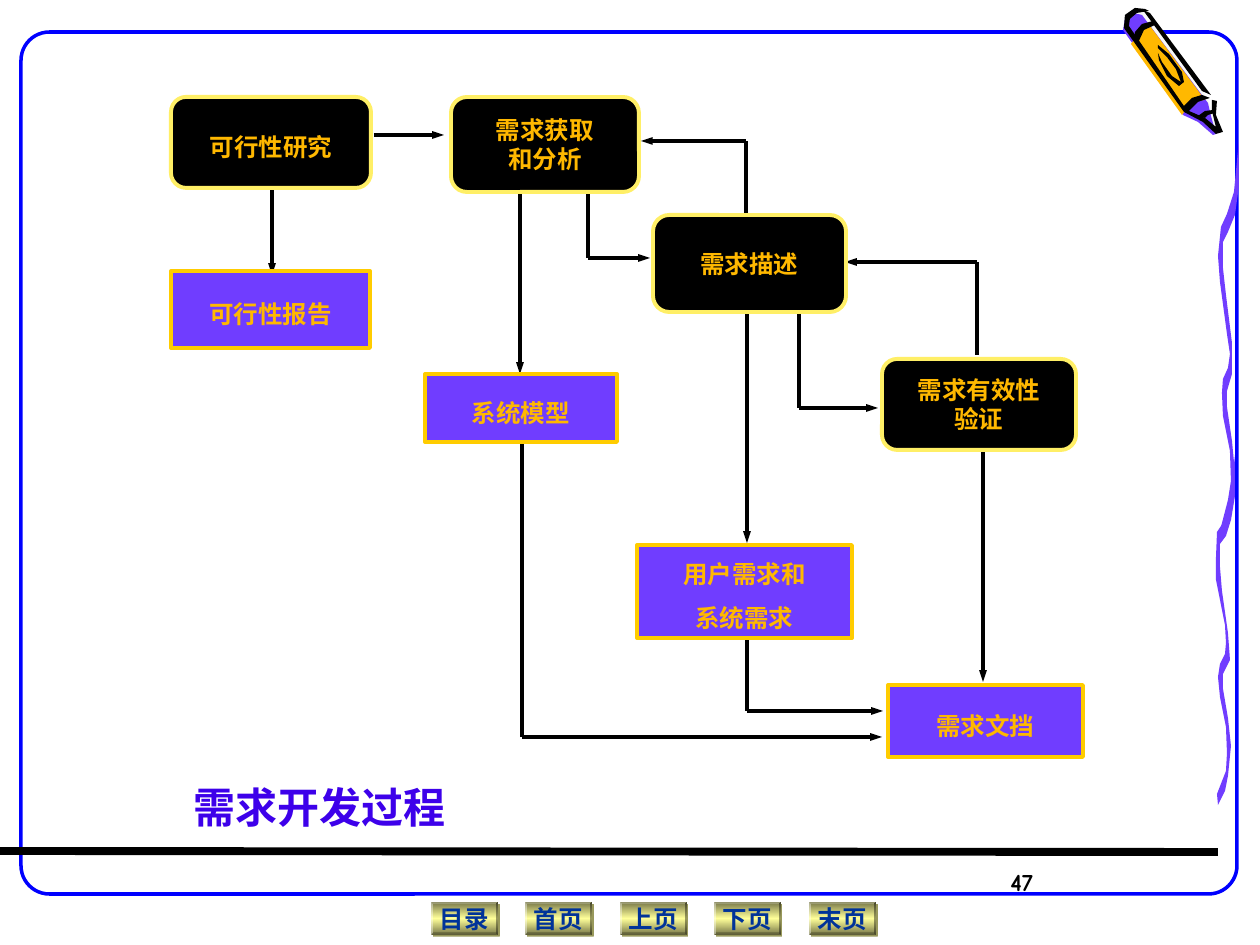
from lxml import etree
from pptx import Presentation
from pptx import util as u
from pptx.dml.color import RGBColor
from pptx.enum import shapes, text
from pptx.oxml import parse_xml
from pptx.oxml.ns import nsdecls, qn

PX = 914400 / 126
BLACK = RGBColor(0x00, 0x00, 0x00)
WHITE = RGBColor(0xFF, 0xFF, 0xFF)
OFF_WHITE = RGBColor(0xF8, 0xF8, 0xF8)
BLUE = RGBColor(0x00, 0x00, 0xFF)
NAVY = RGBColor(0x00, 0x33, 0x99)
INDIGO = RGBColor(0x3D, 0x00, 0xEA)
PURPLE = RGBColor(0x70, 0x3D, 0xFF)
ORANGE = RGBColor(0xFF, 0xB8, 0x00)
GOLD = RGBColor(0xFF, 0xCC, 0x00)
YELLOW = RGBColor(0xFF, 0xEF, 0x66)
CJK = "Noto Sans CJK SC"
RECT = shapes.MSO_SHAPE.RECTANGLE
ROUND = shapes.MSO_SHAPE.ROUNDED_RECTANGLE

prs = Presentation()
prs.slide_width, prs.slide_height = round(1260 * PX), round(945 * PX)
s = prs.slides.add_slide(prs.slide_layouts[6])


def add_line(x1, y1, x2, y2, width, arrow=False):
    ends = [round(v * PX) for v in (x1, y1, x2, y2)]
    c = s.shapes.add_connector(shapes.MSO_CONNECTOR.STRAIGHT, *ends)
    c.line.color.rgb = BLACK
    c.line.width = u.Pt(width)
    if arrow:
        etree.SubElement(c.line._get_or_add_ln(), qn("a:tailEnd"), type="triangle", w="sm", len="med")
    etree.SubElement(c._element.spPr, qn("a:effectLst"))


def set_text(sp, words, size, color, font, align=text.PP_ALIGN.CENTER):
    tf = sp.text_frame
    tf.text = words
    for p in tf.paragraphs:
        p.alignment = align
        for r in p.runs:
            r.font.size, r.font.bold, r.font.name = u.Pt(size), True, font
            r.font.color.rgb = color
            etree.SubElement(r._r.get_or_add_rPr(), qn("a:ea"), typeface=CJK)
    return tf


# Navigation buttons: beveled, with a vertical metallic gradient
GRADIENT = (f'<a:gradFill {nsdecls("a")} rotWithShape="1"><a:gsLst>'
            '<a:gs pos="0"><a:srgbClr val="767647"/></a:gs>'
            '<a:gs pos="50000"><a:srgbClr val="FFFF99"/></a:gs>'
            '<a:gs pos="100000"><a:srgbClr val="767647"/></a:gs>'
            '</a:gsLst><a:lin ang="5400000" scaled="1"/></a:gradFill>')
SHADOW = (f'<a:effectLst {nsdecls("a")}><a:outerShdw dist="17780" dir="2700000">'
          '<a:srgbClr val="99995C"/></a:outerShdw></a:effectLst>')
for i, label in enumerate(["目录", "首页", "上页", "下页", "末页"]):
    box = [round(v * PX) for v in (431 + 189 * i // 2, 902, 67, 33)]
    sp = s.shapes.add_shape(shapes.MSO_SHAPE.BEVEL, *box)
    sp.adjustments[0] = 0.06
    sp.line.fill.background()
    sp._element.spPr.find(qn("a:prstGeom")).addnext(parse_xml(GRADIENT))
    sp._element.spPr.append(parse_xml(SHADOW))
    tf = set_text(sp, label, 14, NAVY, "Times New Roman")
    tf.word_wrap = False
    tf.vertical_anchor = text.MSO_ANCHOR.MIDDLE

# Slide frame and footer rule
sp = s.shapes.add_shape(ROUND, *[round(v * PX) for v in (21, 32, 1216, 862)])
sp.shadow.inherit = False
sp.adjustments[0] = 0.033
sp.fill.solid()
sp.fill.fore_color.rgb = WHITE
sp.line.color.rgb = BLUE
sp.line.width = u.Pt(2)
add_line(0, 851, 1218, 852, 4.5)

# Wavy ribbon and crayon
ribbon_low = [
    (1217, 794), (1226, 771), (1227, 753), (1226, 727), (1220, 697), (1218, 677), (1220, 664),
    (1225, 654), (1226, 643), (1225, 625), (1216, 580), (1216, 557), (1217, 532), (1225, 520),
    (1230, 500), (1235, 455), (1235, 496), (1231, 520), (1226, 536), (1220, 544), (1220, 567),
    (1222, 591), (1228, 633), (1230, 660), (1223, 674), (1223, 689), (1228, 718), (1231, 746),
    (1228, 776), (1225, 791), (1218, 805)]
ribbon_high = [
    (1221, 527), (1228, 500), (1231, 481), (1230, 451), (1223, 416), (1222, 393), (1223, 379),
    (1228, 368), (1230, 354), (1227, 334), (1220, 282), (1218, 256), (1221, 227), (1227, 214),
    (1234, 192), (1239, 140), (1239, 186), (1235, 215), (1228, 232), (1223, 242), (1223, 268),
    (1226, 295), (1232, 343), (1232, 374), (1227, 391), (1227, 407), (1232, 441), (1235, 472),
    (1232, 507), (1227, 525), (1222, 541)]
crayon_back = [
    (1220, 130), (1213, 112), (1200, 83), (1145, 11), (1137, 10), (1129, 15), (1126, 28),
    (1186, 111), (1205, 120), (1217, 131)]
crayon_body = [
    (1142, 15), (1208, 103), (1211, 116), (1216, 134), (1213, 135), (1198, 122), (1183, 115),
    (1123, 30), (1125, 19), (1134, 13)]
crayon_wrap = [(1131, 44), (1182, 115), (1192, 102), (1205, 100), (1150, 26), (1140, 32)]
crayon_tip = [(1213, 110), (1205, 111), (1198, 116), (1205, 118), (1208, 115), (1215, 113)]
crayon_outline = [
    (1145, 9), (1135, 8), (1125, 15), (1124, 28), (1184, 112), (1203, 122), (1216, 134),
    (1223, 132), (1216, 115), (1217, 101), (1212, 100), (1212, 111), (1216, 127), (1205, 118),
    (1189, 111), (1198, 102), (1210, 98), (1202, 95), (1192, 98), (1184, 106), (1129, 26),
    (1130, 19), (1137, 13), (1149, 11)]
crayon_edge = [(1150, 13), (1211, 95), (1202, 91), (1143, 10)]
crayon_band = [(1153, 21), (1142, 24), (1135, 32), (1134, 38), (1138, 43), (1144, 30), (1155, 25)]
crayon_mark = [
    (1158, 48), (1167, 57), (1176, 69), (1181, 82), (1172, 76), (1162, 62), (1158, 53),
    (1159, 60), (1167, 76), (1179, 86), (1184, 82), (1182, 72), (1169, 54), (1158, 45)]
for points, color in [
        (ribbon_low, PURPLE), (ribbon_high, PURPLE), (crayon_back, OFF_WHITE),
        (crayon_body, PURPLE), (crayon_wrap, ORANGE), (crayon_tip, BLACK),
        (crayon_outline, BLACK), (crayon_edge, BLACK), (crayon_band, BLACK), (crayon_mark, BLACK)]:
    builder = s.shapes.build_freeform(*points[0], scale=PX)
    builder.add_line_segments(points[1:], close=True)
    sp = builder.convert_to_shape()
    sp.shadow.inherit = False
    sp.fill.solid()
    sp.fill.fore_color.rgb = color
    sp.line.fill.background()

# Title and page number
sp = s.shapes.add_textbox(*[round(v * PX) for v in (0, 769, 639, 63)])
tf = set_text(sp, "需求开发过程", 24, INDIGO, CJK)
tf.word_wrap = True
tf.vertical_anchor = text.MSO_ANCHOR.BOTTOM
tf.margin_left = tf.margin_right = tf.margin_top = tf.margin_bottom = 0
sp = s.shapes.add_textbox(*[round(v * PX) for v in (998, 861, 262, 63)])
set_text(sp, "47", 14, BLACK, "Comic Neue", text.PP_ALIGN.LEFT).word_wrap = True

# Flow arrows: each route is a chain of segments with a head on the last
for route in [
        [(374, 135), (444, 135)],
        [(272, 188), (272, 275)],
        [(520, 194), (520, 374)],
        [(747, 314), (747, 543)],
        [(983, 452), (983, 682)],
        [(588, 194), (588, 258), (650, 258)],
        [(746, 213), (746, 141), (641, 141)],
        [(799, 314), (799, 408), (878, 408)],
        [(977, 355), (977, 262), (845, 262)],
        [(747, 640), (747, 711), (883, 711)],
        [(522, 442), (522, 737), (882, 737)]]:
    for start, end in zip(route, route[1:]):
        add_line(*start, *end, 2.25, arrow=end == route[-1])

# Activities (rounded) and documents (square); some have loose line spacing
for kind, box, words, loose in [
        (ROUND, (171, 97, 200, 91), "可行性研究", True),
        (ROUND, (451, 97, 188, 95), "需求获取\n和分析", False),
        (ROUND, (653, 215, 193, 97), "需求描述", False),
        (ROUND, (882, 359, 194, 91), "需求有效性\n验证", False),
        (RECT, (171, 271, 199, 77), "可行性报告", True),
        (RECT, (425, 374, 192, 68), "系统模型", True),
        (RECT, (637, 545, 215, 93), "用户需求和\n系统需求", True),
        (RECT, (888, 685, 195, 72), "需求文挡", True)]:
    sp = s.shapes.add_shape(kind, *[round(v * PX) for v in box])
    sp.shadow.inherit = False
    sp.fill.solid()
    sp.fill.fore_color.rgb = BLACK if kind == ROUND else PURPLE
    sp.line.color.rgb = YELLOW if kind == ROUND else GOLD
    sp.line.width = u.Pt(2.25)
    tf = set_text(sp, words, 14, ORANGE, "Times New Roman")
    tf.word_wrap = False
    tf.vertical_anchor = text.MSO_ANCHOR.MIDDLE
    if loose:
        for i, p in enumerate(tf.paragraphs):
            p.line_spacing = 1.3
            if i:
                p.space_before = u.Pt(3.5)

prs.save("out.pptx")
